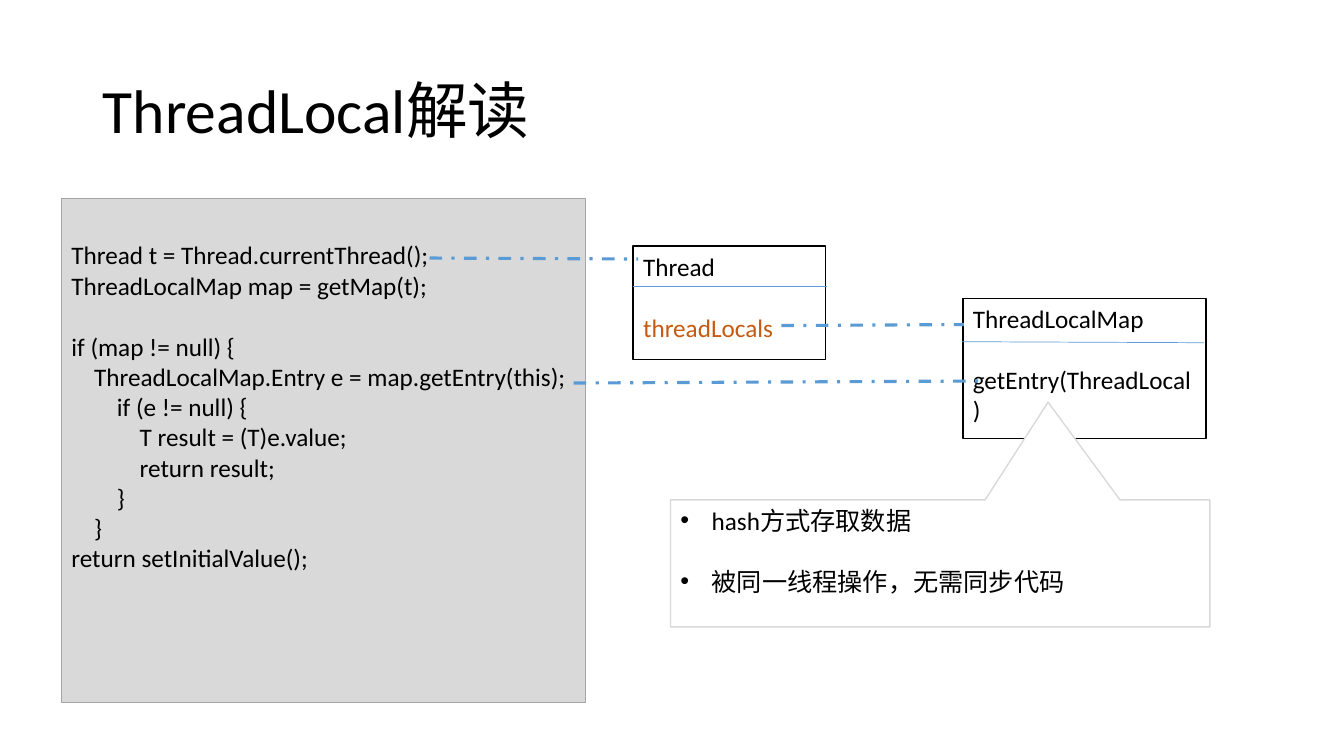
from pptx import Presentation
from pptx.dml.color import RGBColor
from pptx.enum.dml import MSO_LINE
from pptx.enum.shapes import MSO_CONNECTOR, MSO_SHAPE
from pptx.enum.text import MSO_ANCHOR, MSO_AUTO_SIZE, PP_ALIGN
from pptx.oxml.ns import qn
from pptx.util import Inches, Pt
from lxml.etree import SubElement

COLORS = {
    "text": "000000", "field": "C55A11", "paper": "FFFFFF", "link": "5B9BD5",
    "code": "D9D9D9", "code_edge": "A5A5A5", "note_edge": "D9D9D9",
}
LINE_GAP = 22
CODE_INDENT = 0.226


def add_panel(preset, box, fill, edge, width):
    panel = slide.shapes.add_shape(preset, *map(Inches, box))
    panel.shadow.inherit = False
    panel.fill.solid()
    panel.fill.fore_color.rgb = RGBColor.from_string(COLORS[fill])
    panel.line.color.rgb = RGBColor.from_string(COLORS[edge])
    panel.line.width = Pt(width)
    return panel


def write(frame, rows, size=18):
    frame.word_wrap = True
    for index, (text, color, gap, indent, bullet) in enumerate(rows):
        paragraph = frame.paragraphs[0] if index == 0 else frame.add_paragraph()
        paragraph.alignment = PP_ALIGN.LEFT
        paragraph.space_before = Pt(gap)
        properties = paragraph._p.get_or_add_pPr()
        properties.set("marL", str(Inches(indent)))
        properties.set("indent", str(Inches(-indent if bullet else 0)))
        if bullet:
            SubElement(properties, qn("a:buFont")).set("typeface", "Arial")
            SubElement(properties, qn("a:buChar")).set("char", bullet)
        run = paragraph.add_run()
        run.text = text
        run.font.size = Pt(size)
        run.font.name = "Calibri"
        run.font.color.rgb = RGBColor.from_string(COLORS[color])


presentation = Presentation()
presentation.slide_width = Inches(13.33)
presentation.slide_height = Inches(7.5)
slide = presentation.slides.add_slide(presentation.slide_layouts[5])

title = slide.shapes.title
title.left, title.top, title.width, title.height = map(Inches, (0.92, 0.4, 11.5, 1.45))
write(title.text_frame, [("ThreadLocal解读", "text", 0, 0, "")], 44)
title.text_frame.auto_size = MSO_AUTO_SIZE.NONE
title.text_frame.vertical_anchor = MSO_ANCHOR.MIDDLE
title.text_frame.paragraphs[0].line_spacing = 0.9

classes = [
    ((6.28, 2.44, 1.91, 1.13), "Thread", "threadLocals", "field"),
    ((9.55, 2.96, 2.41, 1.39), "ThreadLocalMap", "getEntry(ThreadLocal)", "text"),
]
for box, class_name, member, member_color in classes:
    class_box = add_panel(MSO_SHAPE.RECTANGLE, box, "paper", "text", 1)
    class_box.text_frame.vertical_anchor = MSO_ANCHOR.TOP
    write(class_box.text_frame, [
        (class_name, "text", 0, 0, ""),
        (member, member_color, LINE_GAP, 0, ""),
    ])

add_panel(MSO_SHAPE.RECTANGLE, (0.61, 1.97, 5.2, 5), "code", "code_edge", 0.5)

code_lines = [
    (0, "Thread t = Thread.currentThread();"),
    (0, "ThreadLocalMap map = getMap(t);"),
    (0, "if (map != null) {"),
    (1, "ThreadLocalMap.Entry e = map.getEntry(this);"),
    (2, "if (e != null) {"),
    (3, "T result = (T)e.value;"),
    (3, "return result;"),
    (2, "}"),
    (1, "}"),
    (0, "return setInitialValue();"),
]
code = slide.shapes.add_textbox(*map(Inches, (0.61, 2.33, 5.17, 3.43)))
write(code.text_frame, [
    (text, "text", LINE_GAP if text.startswith("if (map") else 0, level * CODE_INDENT, "")
    for level, text in code_lines
])

links = [
    ((6.28, 2.84, 8.2, 2.84), 0.5, MSO_LINE.SOLID),
    ((9.54, 3.39, 11.94, 3.4), 0.5, MSO_LINE.SOLID),
    ((7.75, 3.23, 9.56, 3.22), 2.25, MSO_LINE.DASH_DOT),
    ((4.26, 2.56, 6.33, 2.57), 2.25, MSO_LINE.DASH_DOT),
    ((5.69, 3.8, 9.71, 3.78), 2.25, MSO_LINE.DASH_DOT),
]
for ends, width, dash in links:
    link = slide.shapes.add_connector(MSO_CONNECTOR.STRAIGHT, *map(Inches, ends))
    link.line.color.rgb = RGBColor.from_string(COLORS["link"])
    link.line.width = Pt(width)
    link.line.dash_style = dash
    SubElement(link._element.spPr, qn("a:effectLst"))

note = add_panel(
    MSO_SHAPE.RECTANGULAR_CALLOUT, (6.65, 4.96, 5.35, 1.26), "paper", "note_edge", 1)
note.adjustments[0] = 0.2
note.adjustments[1] = -1.27
note.text_frame.vertical_anchor = MSO_ANCHOR.TOP
write(note.text_frame, [
    ("hash方式存取数据", "text", 0, 0.31, "•"),
    ("被同一线程操作，无需同步代码", "text", LINE_GAP, 0.31, "•"),
])

presentation.save("out.pptx")
